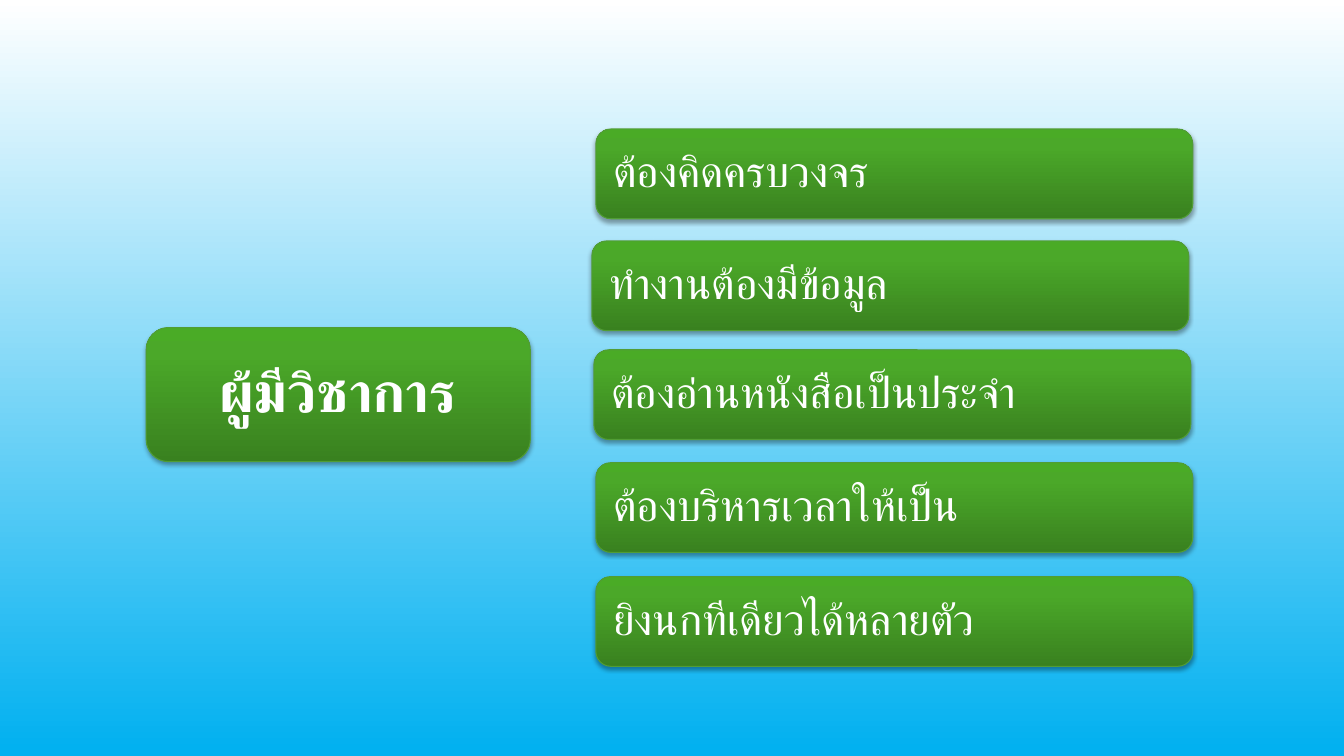
from dataclasses import dataclass

from lxml.etree import SubElement
from pptx import Presentation
from pptx.dml.color import RGBColor as Color
from pptx.enum.shapes import MSO_SHAPE as Shape
from pptx.enum.text import MSO_ANCHOR as Anchor, MSO_AUTO_SIZE as AutoSize, PP_ALIGN as Align
from pptx.oxml.ns import qn
from pptx.util import Inches, Pt


@dataclass(frozen=True)
class Theme:
    font: str = "Quicksand"
    head_size: int = 40
    item_size: int = 31
    text: str = "FFFFFF"
    line: str = "519D35"
    shadow: str = "000000"
    sky: tuple = ((0, "FFFFFF"), (100, "00B0F0"))
    leaf: tuple = ((0, "39811F"), (80, "4BA829"), (100, "4AAB26"))


THEME = Theme()
HEAD = "ผู้มีวิชาการ"
HEAD_BOX = (1.45, 3.25, 3.81, 1.33)
ITEM_SIZE = (5.92, 0.89)
ITEMS = [
    ("ต้องคิดครบวงจร", 5.91, 1.28),
    ("ทำงานต้องมีข้อมูล", 5.87, 2.39),
    ("ต้องอ่านหนังสือเป็นประจำ", 5.89, 3.47),
    ("ต้องบริหารเวลาให้เป็น", 5.91, 4.59),
    ("ยิงนกทีเดียวได้หลายตัว", 5.91, 5.72),
]


def paint_gradient(fill, owner, stops, angle):
    fill.gradient()
    fill.gradient_angle = angle
    stop_list = next(owner.iter(qn("a:gsLst")))
    for stop in list(stop_list):
        stop_list.remove(stop)
    for position, color in stops:
        stop = SubElement(stop_list, qn("a:gs"), pos=str(position * 1000))
        SubElement(stop, qn("a:srgbClr"), val=color)


def add_shadow(shape):
    shape.shadow.inherit = False
    effects = shape._element.spPr.find(qn("a:effectLst"))
    shadow = SubElement(effects, qn("a:outerShdw"), blurRad=str(Pt(3.1)),
                        dist=str(Pt(1.8)), dir="5400000", rotWithShape="0")
    color = SubElement(shadow, qn("a:srgbClr"), val=THEME.shadow)
    SubElement(color, qn("a:alpha"), val="35000")


def add_card(page, box):
    card = page.shapes.add_shape(Shape.ROUNDED_RECTANGLE, *map(Inches, box))
    paint_gradient(card.fill, card._element.spPr, THEME.leaf, 90)
    card.line.color.rgb = Color.from_string(THEME.line)
    card.line.width = Pt(0.75)
    add_shadow(card)
    return card


def write_text(shape, text, size, inset, align, bold=False):
    frame = shape.text_frame
    frame.word_wrap = True
    frame.auto_size = AutoSize.NONE
    frame.vertical_anchor = Anchor.MIDDLE
    frame.margin_left = frame.margin_right = Inches(inset)
    frame.margin_top = frame.margin_bottom = Inches(inset)
    para = frame.paragraphs[0]
    para.alignment = align
    para.line_spacing = 0.9
    span = para.add_run()
    span.text = text
    span.font.name = THEME.font
    span.font.size = Pt(size)
    span.font.bold = bold
    span.font.color.rgb = Color.from_string(THEME.text)
    SubElement(span.font._element, qn("a:cs"), typeface=THEME.font)


def add_head(page, box):
    add_card(page, box)
    title = page.shapes.title
    left, top, width, height = box
    edge = 0.065
    title.left, title.top = Inches(left + edge), Inches(top + edge)
    title.width, title.height = Inches(width - 2 * edge), Inches(height - 2 * edge)
    write_text(title, HEAD, THEME.head_size, 0.17, Align.CENTER, bold=True)
    page.shapes._spTree.append(title._element)


def add_item(page, text, box):
    write_text(add_card(page, box), text, THEME.item_size, 0.13, Align.LEFT)


def build_page(deck):
    page = deck.slides.add_slide(deck.slide_layouts[5])
    paint_gradient(page.background.fill, page._element, THEME.sky, 270)
    add_head(page, HEAD_BOX)
    for text, left, top in ITEMS:
        add_item(page, text, (left, top, *ITEM_SIZE))


deck = Presentation()
deck.slide_width, deck.slide_height = Inches(13.33), Inches(7.5)
build_page(deck)
deck.save("out.pptx")
